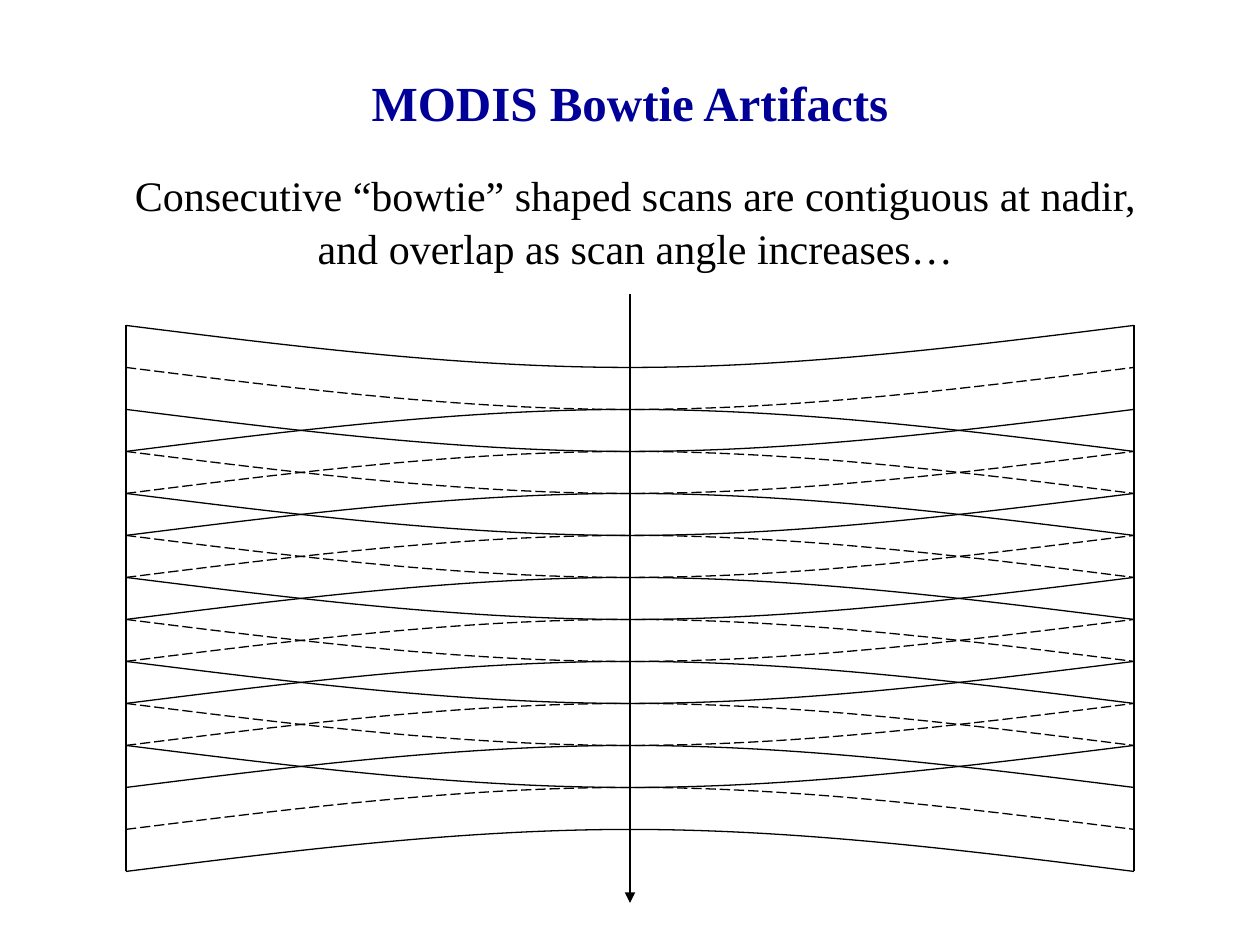
from dataclasses import dataclass

from lxml.etree import SubElement
from pptx import Presentation
from pptx.dml.color import RGBColor
from pptx.enum.dml import MSO_LINE_DASH_STYLE as Dash
from pptx.enum.shapes import MSO_CONNECTOR as Connector
from pptx.enum.text import MSO_AUTO_SIZE as AutoSize, PP_ALIGN as Align
from pptx.oxml.ns import qn
from pptx.util import Cm, Pt

COLORS = {"title": "000099", "text": "000000", "line": "000000"}
FONT = "Times New Roman"
LEFT, NADIR, RIGHT = 2.54, 12.7, 22.86
THIRD = (NADIR - LEFT) / 3
STEP = 2.54 / 3
FIRST_TOP = 6.56
SCAN_COUNT = 11


@dataclass
class Scan:
    top: float
    dashed: bool

    @property
    def bottom(self) -> float:
        return self.top + 3 * STEP


@dataclass
class Caption:
    text: str
    left: float
    top: float
    width: float
    height: float
    size: int
    color: str
    bold: bool = False


CAPTIONS = [
    Caption("MODIS Bowtie Artifacts", 4.66, 1.27, 16.08, 1.45, 28, "title", True),
    Caption("Consecutive “bowtie” shaped scans are contiguous at nadir, "
            "and overlap as scan angle increases…",
            2.12, 3.23, 21.38, 2.29, 24, "text"),
]


def style_line(line, dashed: bool) -> None:
    line.color.rgb = RGBColor.from_string(COLORS["line"])
    line.width = Pt(0.75)
    if dashed:
        line.dash_style = Dash.LONG_DASH


def add_line(shapes, x: float, top: float, bottom: float, dashed: bool = False):
    line = shapes.add_connector(Connector.STRAIGHT, Cm(x), Cm(top), Cm(x), Cm(bottom))
    style_line(line.line, dashed)
    SubElement(line._element.spPr, qn("a:effectLst"))
    return line


def add_curve(shapes, edge: float, sag: float, dashed: bool) -> None:
    depths = (0.5, 1, 1, 1, 0.5, 0)
    points = [(Cm(LEFT + THIRD * number), Cm(edge + sag * depth))
              for number, depth in enumerate(depths, 1)]
    builder = shapes.build_freeform(Cm(LEFT), Cm(edge))
    builder.add_line_segments(points, close=False)
    curve = builder.convert_to_shape()
    outline = next(curve._element.iter(qn("a:path")))
    segments = outline.findall(qn("a:lnTo"))
    for start in range(0, len(segments), 3):
        bezier = SubElement(outline, qn("a:cubicBezTo"))
        for segment in segments[start:start + 3]:
            bezier.append(segment[0])
            outline.remove(segment)
    curve.fill.background()
    curve.shadow.inherit = False
    style_line(curve.line, dashed)


def add_scan(page, scan: Scan) -> None:
    shapes = page.shapes.add_group_shape().shapes
    add_curve(shapes, scan.top, STEP, scan.dashed)
    add_curve(shapes, scan.bottom, -STEP, scan.dashed)
    add_line(shapes, LEFT, scan.top, scan.bottom, scan.dashed)
    add_line(shapes, RIGHT, scan.bottom, scan.top, scan.dashed)


def add_caption(page, caption: Caption) -> None:
    box = page.shapes.add_textbox(Cm(caption.left), Cm(caption.top),
                                  Cm(caption.width), Cm(caption.height))
    frame = box.text_frame
    frame.text = caption.text
    frame.word_wrap = True
    frame.auto_size = AutoSize.SHAPE_TO_FIT_TEXT
    para = frame.paragraphs[0]
    para.alignment = Align.CENTER
    para.line_spacing = 1.06
    font = para.runs[0].font
    font.name = FONT
    font.size = Pt(caption.size)
    font.bold = caption.bold
    font.color.rgb = RGBColor.from_string(COLORS[caption.color])


def main() -> None:
    deck = Presentation()
    deck.slide_width, deck.slide_height = Cm(25.4), Cm(19.05)
    page = deck.slides.add_slide(deck.slide_layouts[6])
    for number in range(SCAN_COUNT):
        add_scan(page, Scan(FIRST_TOP + number * STEP, number % 2 == 1))
    for caption in CAPTIONS:
        add_caption(page, caption)
    track = add_line(page.shapes, NADIR, 5.93, 18.2)
    SubElement(track.line._get_or_add_ln(), qn("a:tailEnd"), type="triangle")
    deck.save("out.pptx")


if __name__ == "__main__":
    main()
